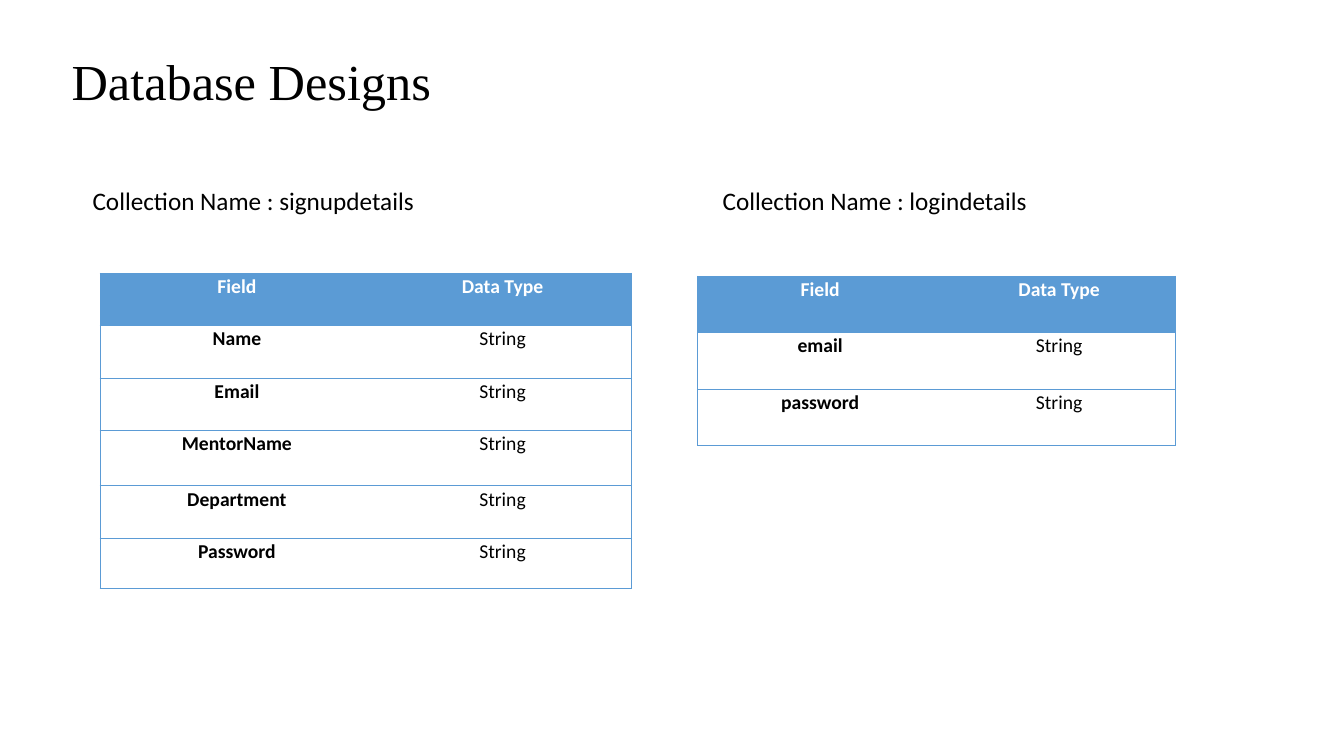
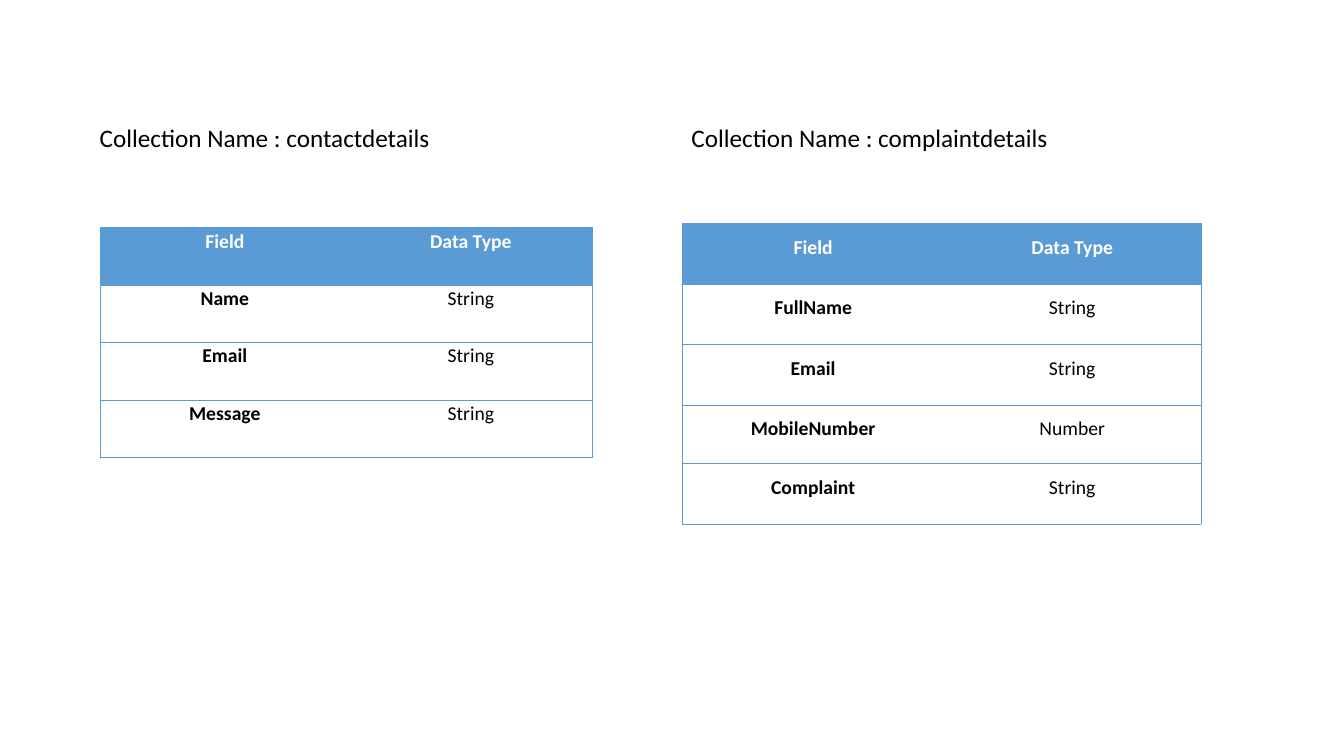
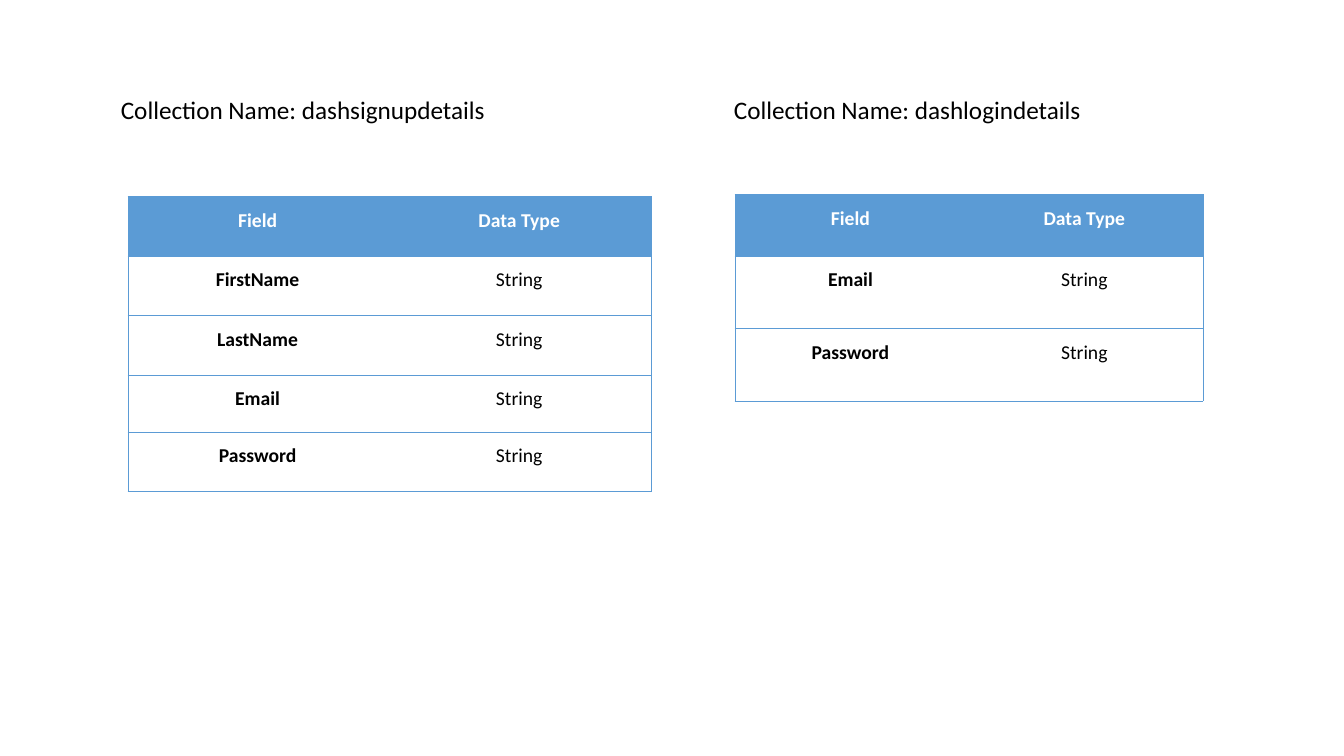
"""Build three slides of database collections and their field tables."""
from dataclasses import dataclass

from lxml import etree
from pptx import Presentation
from pptx.dml.color import RGBColor
from pptx.enum import text
from pptx.oxml.ns import qn
from pptx.util import Inches, Pt


@dataclass(frozen=True)
class Theme:
    blue: str = "5B9BD5"
    white: str = "FFFFFF"
    black: str = "000000"
    title_font: str = "Times New Roman"
    body_font: str = "Calibri"
    title_size: int = 36
    label_size: int = 18
    cell_size: int = 14
    border: float = 0.5
    plain_table: str = "{2D5ABB26-0587-4C30-8999-92F81FD0307C}"


T = Theme()
TITLE_ONLY, BLANK = 5, 6
LEFT, CENTER = text.PP_ALIGN.LEFT, text.PP_ALIGN.CENTER
HEADER = ("Field", "Data Type")

SLIDES = [
    {"title": "Database Designs", "collections": [
        {"label": "Collection Name : signupdetails", "label_at": (0.82, 1.79, 5.1, 0.4),
         "table_at": (0.99, 2.71), "cols": (2.72, 2.55),
         "heights": (0.52, 0.52, 0.52, 0.55, 0.52, 0.5), "spacing": 1.07,
         "fields": {"Name": "String", "Email": "String", "MentorName": "String",
                    "Department": "String", "Password": "String"}},
        {"label": "Collection Name : logindetails", "label_at": (7.07, 1.79, 5.04, 0.4),
         "table_at": (6.92, 2.74), "cols": (2.43, 2.31),
         "heights": (0.56,) * 3, "spacing": 1.07,
         "fields": {"email": "String", "password": "String"}},
    ]},
    {"collections": [
        {"label": "Collection Name : contactdetails", "label_at": (0.89, 1.16, 5.03, 0.4),
         "table_at": (0.99, 2.26), "cols": (2.48, 2.4),
         "heights": (0.57,) * 4, "spacing": 1.07,
         "fields": {"Name": "String", "Email": "String", "Message": "String"}},
        {"label": "Collection Name : complaintdetails", "label_at": (6.76, 1.16, 5.41, 0.4),
         "table_at": (6.77, 2.22), "cols": (2.59, 2.55),
         "heights": (0.6, 0.6, 0.6, 0.58, 0.6), "spacing": 1.5,
         "fields": {"FullName": "String", "Email": "String",
                    "MobileNumber": "Number", "Complaint": "String"}},
    ]},
    {"collections": [
        {"label": "Collection Name: dashsignupdetails", "label_at": (1.1, 0.89, 4.68, 0.4),
         "table_at": (1.27, 1.95), "cols": (2.57, 2.62),
         "heights": (0.59, 0.59, 0.59, 0.57, 0.59), "spacing": 1.5,
         "fields": {"FirstName": "String", "LastName": "String",
                    "Email": "String", "Password": "String"}},
        {"label": "Collection Name: dashlogindetails", "label_at": (7.18, 0.89, 4.75, 0.4),
         "table_at": (7.29, 1.93), "cols": (2.29, 2.35),
         "heights": (0.61, 0.72, 0.72), "spacing": 1.5,
         "fields": {"Email": "String", "Password": "String"}},
    ]},
]


def set_attrs(obj, values):
    for name, value in values.items():
        setattr(obj, name, value)


def write(tf, words, font, size, color=T.black, bold=False, align=LEFT, spacing=1.0):
    p = tf.paragraphs[0]
    set_attrs(p, {"alignment": align, "line_spacing": spacing})
    r = p.add_run()
    r.text = words
    set_attrs(r.font, {"name": font, "size": Pt(size), "bold": bold})
    r.font.color.rgb = RGBColor.from_string(color)


def add_title(s, words):
    sp = s.shapes.title
    set_attrs(sp, {"left": Inches(0.61), "top": Inches(0.44),
                   "width": Inches(3.9), "height": Inches(0.71)})
    set_attrs(sp.text_frame, {"word_wrap": True, "auto_size": text.MSO_AUTO_SIZE.NONE,
                              "vertical_anchor": text.MSO_ANCHOR.MIDDLE})
    write(sp.text_frame, words, T.title_font, T.title_size)


def add_label(s, words, at):
    tf = s.shapes.add_textbox(*map(Inches, at)).text_frame
    set_attrs(tf, {"word_wrap": True, "auto_size": text.MSO_AUTO_SIZE.SHAPE_TO_FIT_TEXT})
    write(tf, words, T.body_font, T.label_size)


def add_borders(cell, sides):
    tc_pr = cell._tc.get_or_add_tcPr()
    for side in sides:
        ln = etree.SubElement(tc_pr, qn(f"a:ln{side}"), w=str(Pt(T.border)))
        fill = etree.SubElement(ln, qn("a:solidFill"))
        etree.SubElement(fill, qn("a:srgbClr"), val=T.blue)


def format_cell(cell, words, row, col, spacing):
    header = row == 0
    set_attrs(cell, {"margin_left": Inches(0.07), "margin_right": Inches(0.07),
                     "margin_top": 0, "margin_bottom": 0})
    add_borders(cell, ("L" if col == 0 else "R", "T", "B"))
    if header:
        cell.fill.solid()
        cell.fill.fore_color.rgb = RGBColor.from_string(T.blue)
    else:
        cell.fill.background()
    write(cell.text_frame, words, T.body_font, T.cell_size,
          color=T.white if header else T.black,
          bold=header or col == 0, align=CENTER, spacing=spacing)


def add_field_table(s, at, cols, heights, fields, spacing):
    rows = [HEADER, *fields.items()]
    size = (sum(cols), sum(heights))
    table = s.shapes.add_table(len(rows), len(cols), *map(Inches, at + size)).table
    table.horz_banding = False
    table._tbl.tblPr.find(qn("a:tableStyleId")).text = T.plain_table
    for column, width in zip(table.columns, cols):
        column.width = Inches(width)
    for i, (height, row) in enumerate(zip(heights, rows)):
        table.rows[i].height = Inches(height)
        for j, words in enumerate(row):
            format_cell(table.cell(i, j), words, i, j, spacing)


def main():
    prs = Presentation()
    set_attrs(prs, {"slide_width": Inches(13.33), "slide_height": Inches(7.5)})
    for content in SLIDES:
        title = content.get("title")
        s = prs.slides.add_slide(prs.slide_layouts[TITLE_ONLY if title else BLANK])
        if title:
            add_title(s, title)
        for c in content["collections"]:
            add_label(s, c["label"], c["label_at"])
            add_field_table(s, c["table_at"], c["cols"], c["heights"],
                            c["fields"], c["spacing"])
    prs.save("out.pptx")


if __name__ == "__main__":
    main()
